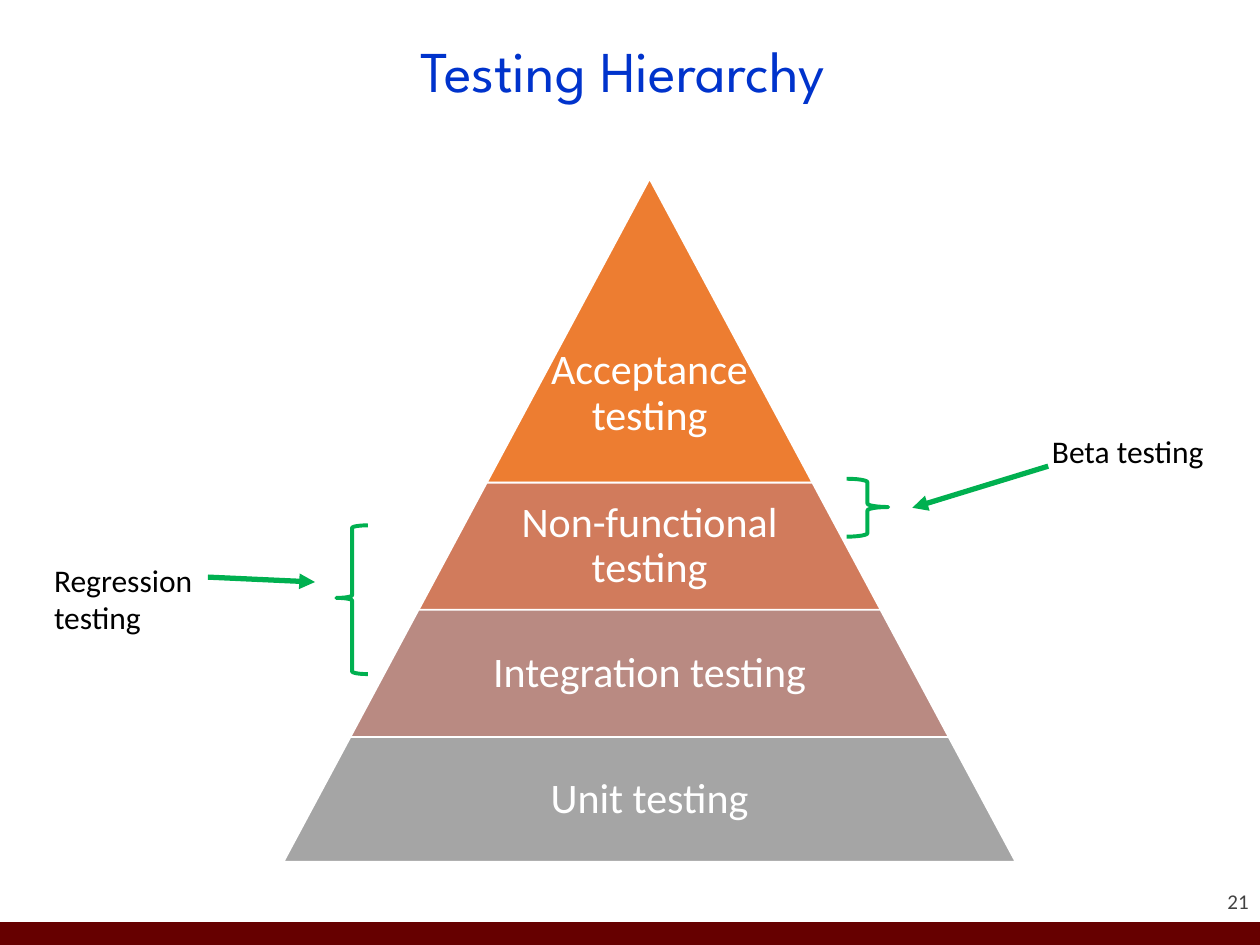
from dataclasses import dataclass

from lxml import etree
from pptx import Presentation
from pptx.dml.color import RGBColor
from pptx.enum.shapes import MSO_CONNECTOR, MSO_SHAPE
from pptx.enum.text import MSO_ANCHOR, PP_ALIGN
from pptx.oxml.ns import qn
from pptx.util import Pt

RECT, TRAPEZOID, BRACE = MSO_SHAPE.RECTANGLE, MSO_SHAPE.TRAPEZOID, MSO_SHAPE.RIGHT_BRACE
STRAIGHT = MSO_CONNECTOR.STRAIGHT
LEFT, CENTER, RIGHT = PP_ALIGN.LEFT, PP_ALIGN.CENTER, PP_ALIGN.RIGHT
TOP, MIDDLE, BOTTOM = MSO_ANCHOR.TOP, MSO_ANCHOR.MIDDLE, MSO_ANCHOR.BOTTOM

COLORS = {
    "title": "0033CC", "bar": "660000", "number": "424242", "text": "000000",
    "white": "FFFFFF", "mark": "00B050", "acceptance": "ED7D31",
    "nonfunctional": "D17B5C", "integration": "B98A82", "unit": "A5A5A5",
}

# Pyramid geometry: sides move out by SLOPE for each point of height
APEX_X, APEX_Y, SLOPE = 371.2, 102.2, 0.536
LABEL_SHARE = 0.65


@dataclass
class Band:
    text: str
    color: str
    height: float
    label_height: float


@dataclass
class Note:
    text: str
    box: tuple[float, float, float, float]
    wrap: bool
    arrow: tuple[float, float, float, float]
    brace: tuple[float, float, float, float]
    flipped: bool


BANDS = [
    Band("Acceptance testing", "acceptance", 173.6, 101.5),
    Band("Non-functional testing", "nonfunctional", 72.7, 72.7),
    Band("Integration testing", "integration", 72.7, 72.7),
    Band("Unit testing", "unit", 71.3, 71.3),
]
NOTES = [
    Note("Beta testing", (594, 243.4, 102.2, 29), False,
         (599, 266.4, 521.3, 290.2), (483.8, 273.6, 23.8, 33.1), False),
    Note("Regression testing", (23.8, 316.8, 95, 51), True,
         (118.8, 329.8, 180, 332.6), (192.2, 300.2, 18, 85), True),
]


def rgb(name: str) -> RGBColor:
    return RGBColor.from_string(COLORS[name])


def write(sp, text: str, *, size: float, color: str, font: str = "Calibri",
          align=LEFT, anchor=TOP, inset: float | None = None,
          spacing: float | None = None, wrap: bool = True) -> None:
    tf = sp.text_frame
    tf.word_wrap, tf.vertical_anchor = wrap, anchor
    if inset is not None:
        tf.margin_left = tf.margin_right = tf.margin_top = tf.margin_bottom = Pt(inset)
    p = tf.paragraphs[0]
    p.alignment, p.line_spacing = align, spacing
    r = p.add_run()
    r.text = text
    r.font.size, r.font.name = Pt(size), font
    r.font.color.rgb = rgb(color)


def add_text(s, box: tuple, text: str, **fmt) -> None:
    write(s.shapes.add_textbox(*map(Pt, box)), text, **fmt)


def add_shape(s, kind, box: tuple, fill: str | None = None,
              line: str | None = None, width: float = 1):
    sp = s.shapes.add_shape(kind, *map(Pt, box))
    sp.shadow.inherit = False
    if fill:
        sp.fill.solid()
        sp.fill.fore_color.rgb = rgb(fill)
    else:
        sp.fill.background()
    if line:
        sp.line.color.rgb, sp.line.width = rgb(line), Pt(width)
    else:
        sp.line.fill.background()
    return sp


def add_arrow(s, ends: tuple) -> None:
    c = s.shapes.add_connector(STRAIGHT, *map(Pt, ends))
    c.line.color.rgb, c.line.width = rgb("mark"), Pt(3)
    etree.SubElement(c.line._get_or_add_ln(), qn("a:tailEnd"), type="triangle")
    etree.SubElement(c._element.spPr, qn("a:effectLst"))


def add_pyramid(s, bands: list[Band]) -> None:
    top = APEX_Y
    for band in bands:
        bottom = top + band.height
        width = 2 * SLOPE * (bottom - APEX_Y)
        sp = add_shape(s, TRAPEZOID, (APEX_X - width / 2, top, width, band.height),
                       fill=band.color, line="white")
        sp.adjustments[0] = SLOPE
        label = LABEL_SHARE * width
        add_text(s, (APEX_X - label / 2, bottom - band.label_height, label, band.label_height),
                 band.text, size=24, color="white", align=CENTER, anchor=MIDDLE,
                 inset=2, spacing=0.9)
        top = bottom


def add_note(s, note: Note) -> None:
    add_text(s, note.box, note.text, size=18, color="text", wrap=note.wrap)
    add_arrow(s, note.arrow)
    brace = add_shape(s, BRACE, note.brace, line="mark", width=2.25)
    brace.adjustments[0], brace.adjustments[1] = 0.083, 0.488
    if note.flipped:
        brace._element.spPr.find(qn("a:xfrm")).set("flipH", "1")


def main() -> None:
    prs = Presentation()
    prs.slide_width, prs.slide_height = Pt(720), Pt(540)
    s = prs.slides.add_slide(prs.slide_layouts[5])

    # Footer bar and slide number
    add_shape(s, RECT, (0, 527, 720, 13), fill="bar")
    add_text(s, (654, 493, 59.5, 29), "21", size=12, color="number",
             align=RIGHT, anchor=BOTTOM, inset=0)

    # Title
    title = s.shapes.title
    title.left, title.top, title.width, title.height = map(Pt, (49.7, 8.6, 620.6, 67.7))
    write(title, "Testing Hierarchy ", size=33, color="title", font="League Spartan",
          align=CENTER, anchor=MIDDLE, spacing=0.9)

    # Pyramid and side notes
    add_pyramid(s, BANDS)
    for note in NOTES:
        add_note(s, note)

    prs.save("out.pptx")


if __name__ == "__main__":
    main()
